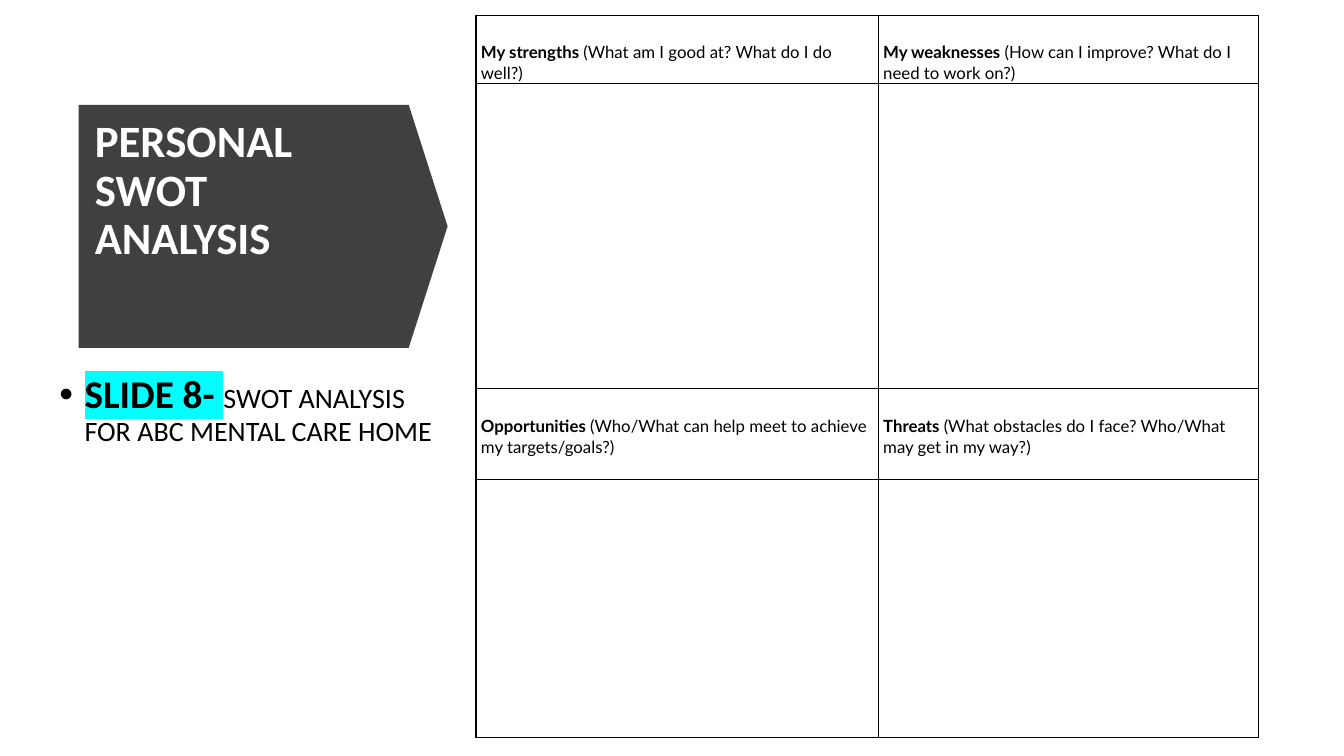
from dataclasses import dataclass

from lxml import etree
from pptx import Presentation
from pptx.dml.color import RGBColor
from pptx.enum import shapes, text
from pptx.oxml import ns
from pptx.util import Inches, Pt


@dataclass(frozen=True)
class Theme:
    dark: str = "404040"
    white: str = "FFFFFF"
    black: str = "000000"
    highlight: str = "00FFFF"
    font: str = "Calibri"
    table_font: str = "Lato"
    title_size: int = 32
    label_size: int = 28
    body_size: int = 20
    table_size: int = 12


@dataclass(frozen=True)
class Quadrant:
    row: int
    col: int
    name: str
    prompt: str


THEME = Theme()
COLUMN_WIDTHS = (3.99, 3.77)
ROW_HEIGHTS = (0.67, 3.03, 0.9, 2.56)
QUADRANTS = (
    Quadrant(0, 0, "My strengths ", "(What am I good at? What do I do well?)"),
    Quadrant(0, 1, "My weaknesses ", "(How can I improve? What do I need to work on?)"),
    Quadrant(2, 0, "Opportunities ", "(Who/What can help meet to achieve my targets/goals?)"),
    Quadrant(2, 1, "Threats ", "(What obstacles do I face? Who/What may get in my way?)"),
)


def add_run(p, words: str, *, size: int, color: str = THEME.black, font: str = THEME.font,
            bold: bool = False, highlight: str = "") -> None:
    r = p.add_run()
    r.text = words
    r.font.size = Pt(size)
    r.font.bold = bold
    r.font.color.rgb = RGBColor.from_string(color)
    r.font.name = font
    if highlight:
        mark = etree.Element(ns.qn("a:highlight"))
        etree.SubElement(mark, ns.qn("a:srgbClr"), val=highlight)
        r.font._element.find(ns.qn("a:latin")).addprevious(mark)


def set_borders(cell, color: str, width: float) -> None:
    tc_pr = cell._tc.get_or_add_tcPr()
    for i, side in enumerate(("lnL", "lnR", "lnT", "lnB")):
        line = etree.Element(ns.qn(f"a:{side}"), w=str(Pt(width)))
        fill = etree.SubElement(line, ns.qn("a:solidFill"))
        etree.SubElement(fill, ns.qn("a:srgbClr"), val=color)
        tc_pr.insert(i, line)


def add_title(slide) -> None:
    title = slide.shapes.title
    title.left, title.top = Inches(0.84), Inches(1.05)
    title.width, title.height = Inches(3.14), Inches(2.22)
    tf = title.text_frame
    tf.word_wrap = True
    tf.auto_size = text.MSO_AUTO_SIZE.NONE
    tf.vertical_anchor = text.MSO_ANCHOR.TOP
    tf.margin_top = Inches(0.13)
    p = tf.paragraphs[0]
    p.alignment = text.PP_ALIGN.LEFT
    p.line_spacing = 0.9
    add_run(p, "PERSONAL SWOT ANALYSIS", size=THEME.title_size, color=THEME.white, bold=True)

    # Dark arrow panel behind the title
    panel = slide.shapes.add_shape(shapes.MSO_SHAPE.PENTAGON, Inches(0.78), Inches(1.04),
                                   Inches(3.66), Inches(2.41))
    panel.adjustments[0] = 0.16
    panel.shadow.inherit = False
    panel.fill.solid()
    panel.fill.fore_color.rgb = RGBColor.from_string(THEME.dark)
    panel.line.fill.background()
    title._element.addprevious(panel._element)


def add_body(slide) -> None:
    sp = slide.shapes.add_textbox(Inches(0.49), Inches(3.67), Inches(3.95), Inches(2.65))
    tf = sp.text_frame
    tf.word_wrap = True
    p = tf.paragraphs[0]
    p.line_spacing = 0.9
    p_pr = p._p.get_or_add_pPr()
    p_pr.set("marL", str(Inches(0.25)))
    p_pr.set("indent", str(-Inches(0.25)))
    etree.SubElement(p_pr, ns.qn("a:buFont"), typeface="Arial")
    etree.SubElement(p_pr, ns.qn("a:buChar"), char="•")
    add_run(p, "SLIDE 8- ", size=THEME.label_size, bold=True, highlight=THEME.highlight)
    add_run(p, "SWOT ANALYSIS FOR ABC MENTAL CARE HOME", size=THEME.body_size)


def add_swot_table(slide) -> None:
    frame = slide.shapes.add_table(len(ROW_HEIGHTS), len(COLUMN_WIDTHS), Inches(4.72), Inches(0.15),
                                   Inches(sum(COLUMN_WIDTHS)), Inches(sum(ROW_HEIGHTS)))
    table = frame.table
    table.first_row = table.horz_banding = False
    for column, width in zip(table.columns, COLUMN_WIDTHS):
        column.width = Inches(width)
    for row, height in zip(table.rows, ROW_HEIGHTS):
        row.height = Inches(height)
    for cell in table.iter_cells():
        cell.fill.background()
        set_borders(cell, THEME.black, 1)

    # Heading cells
    for quadrant in QUADRANTS:
        cell = table.cell(quadrant.row, quadrant.col)
        cell.margin_left = cell.margin_right = Inches(0.05)
        cell.margin_top, cell.margin_bottom = Inches(0.25), Inches(0)
        p = cell.text_frame.paragraphs[0]
        p.line_spacing = 1.07
        add_run(p, quadrant.name, size=THEME.table_size, font=THEME.table_font, bold=True)
        add_run(p, quadrant.prompt, size=THEME.table_size, font=THEME.table_font)


def main() -> None:
    prs = Presentation()
    prs.slide_width, prs.slide_height = Inches(13.33), Inches(7.5)
    slide = prs.slides.add_slide(prs.slide_layouts.get_by_name("Title Only"))
    add_title(slide)
    add_body(slide)
    add_swot_table(slide)
    prs.save("out.pptx")


if __name__ == "__main__":
    main()
